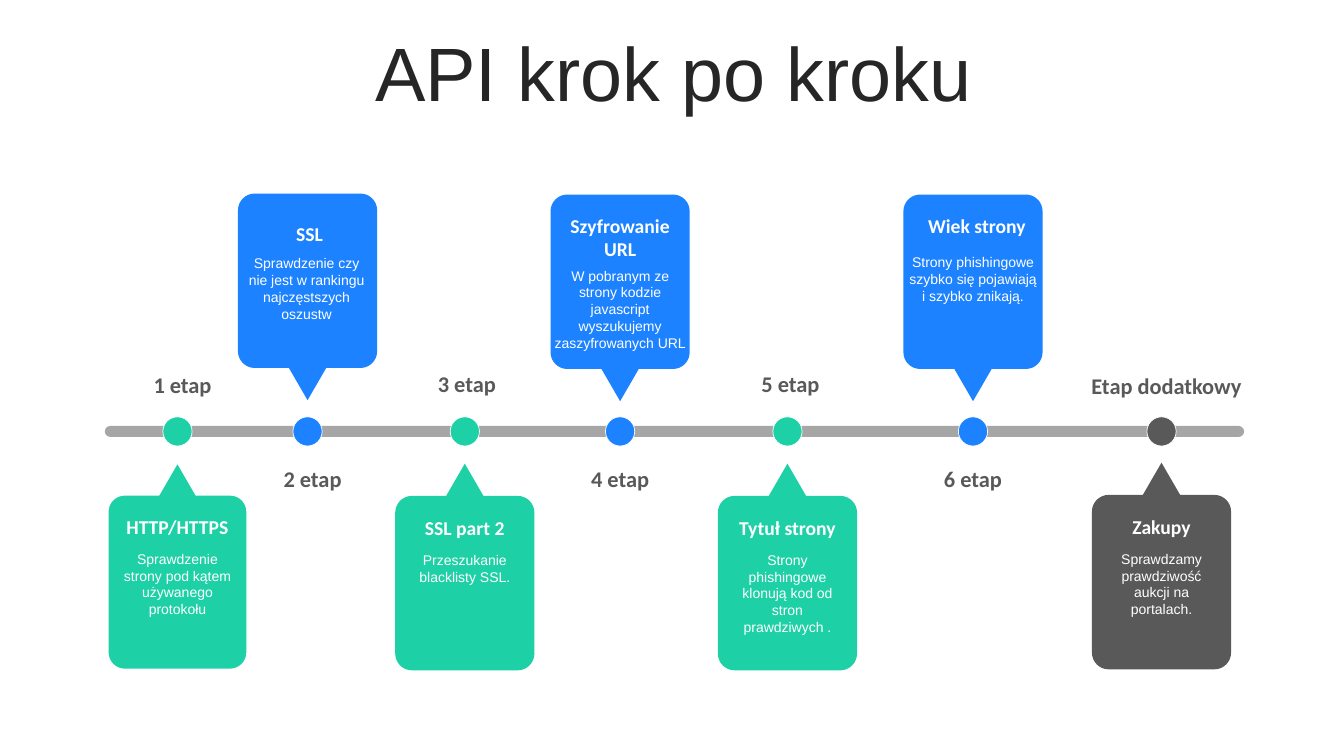
from lxml import etree
from pptx import Presentation, util as u
from pptx.dml.color import RGBColor
from pptx.enum import shapes, text
from pptx.oxml.ns import qn

BLUE = RGBColor(0x1C, 0x82, 0xFF)
GREEN = RGBColor(0x1E, 0xD0, 0xA6)
DARK = RGBColor(0x59, 0x59, 0x59)
INK = RGBColor(0x26, 0x26, 0x26)
TRACK = RGBColor(0xA6, 0xA6, 0xA6)
WHITE = RGBColor(255, 255, 255)

TITLE = "API krok po kroku"
# centre, card top, colour, (label, shift, top, width),
# (heading, shift, top, width, height), (description, shift, top, width, height)
STEPS = [
    (1.76, 4.59, GREEN, ("1 etap", 0.05, 3.63, 1.49),
     ("HTTP/HTTPS", 0, 5.06, 1.38, 0.34),
     ("Sprawdzenie strony pod kątem używanego protokołu", 0, 5.41, 1.38, 0.77)),
    (3.05, 1.92, BLUE, ("2 etap", 0.05, 4.57, 1.38),
     ("SSL", 0.02, 2.15, 1.43, 0.34),
     ("Sprawdzenie czy nie jest w rankingu najczęstszych oszustw",
      -0.01, 2.48, 1.38, 0.77)),
    (4.61, 4.6, GREEN, ("3 etap", 0.02, 3.62, 1.38),
     ("SSL part 2", 0, 5.07, 1.38, 0.34),
     ("Przeszukanie blacklisty SSL.", 0, 5.42, 1.38, 0.44)),
    (6.15, 1.93, BLUE, ("4 etap", 0, 4.57, 1.38),
     ("Szyfrowanie URL", 0, 2.07, 1.52, 0.57),
     ("W pobranym ze strony kodzie javascript wyszukujemy zaszyfrowanych URL",
      0, 2.6, 1.52, 0.94)),
    (7.81, 4.6, GREEN, ("5 etap", 0.03, 3.62, 1.38),
     ("Tytuł strony", 0, 5.07, 1.38, 0.34),
     ("Strony phishingowe klonują kod od stron prawdziwych .",
      0, 5.42, 1.38, 0.77)),
    (9.65, 1.93, BLUE, ("6 etap", 0, 4.57, 1.38),
     ("Wiek strony", 0.04, 2.07, 1.45, 0.34),
     ("Strony phishingowe szybko się pojawiają i szybko znikają.",
      0, 2.47, 1.52, 0.61)),
    (11.52, 4.59, DARK, ("Etap dodatkowy", 0.05, 3.64, 1.77),
     ("Zakupy", 0, 5.06, 1.38, 0.34),
     ("Sprawdzamy prawdziwość aukcji na portalach.", 0, 5.41, 1.38, 0.61)),
]

AXIS = 4.28
HALF, CARD_HEIGHT, SHOULDER = 0.69, 2.05, 0.32
RADIUS, TIP_HALF = 0.165, 0.185
DOT = 0.29
ARC = 0.55  # share of the radius covered by a curve's control point

deck = Presentation()
deck.slide_width, deck.slide_height = u.Inches(13.33), u.Inches(7.5)
page = deck.slides.add_slide(deck.slide_layouts[5])


def write(frame, words, size, font="Arial", color=WHITE, bold=False):
    frame.word_wrap = True
    para = frame.paragraphs[0]
    para.alignment = text.PP_ALIGN.CENTER
    span = para.add_run()
    span.text = words
    span.font.size, span.font.name, span.font.bold = u.Pt(size), font, bold
    span.font.color.rgb = color


def add_text(words, center, top, width, height, **style):
    box = page.shapes.add_textbox(u.Inches(center - width / 2), u.Inches(top),
                                  u.Inches(width), u.Inches(height))
    box.text_frame.auto_size = text.MSO_AUTO_SIZE.SHAPE_TO_FIT_TEXT
    write(box.text_frame, words, **style)


def paint(shape, color, line=0):
    """Fill without shadow; a white outline of `line` points when given."""
    shape.shadow.inherit = False
    shape.fill.solid()
    shape.fill.fore_color.rgb = color
    if line:
        shape.line.color.rgb, shape.line.width = WHITE, u.Pt(line)
    else:
        shape.line.fill.background()


def add_preset(kind, left, width, height, color, line=0):
    """Place a preset shape vertically centred on the axis."""
    shape = page.shapes.add_shape(kind, u.Inches(left), u.Inches(AXIS - height / 2),
                                  u.Inches(width), u.Inches(height))
    paint(shape, color, line)
    return shape


def round_corner(segment, bend_across):
    """Turn a diagonal line segment into a quarter-circle curve."""
    start, end = ([int(point.get(axis)) for axis in "xy"]
                  for point in (segment.getprevious()[-1], segment[-1]))
    corner = (end[0], start[1]) if bend_across else (start[0], end[1])
    curve = etree.Element(qn("a:cubicBezTo"))
    for anchor in (start, end):
        x, y = (round(a + ARC * (c - a)) for a, c in zip(anchor, corner))
        etree.SubElement(curve, qn("a:pt"), x=str(x), y=str(y))
    curve.append(segment[-1])
    segment.getparent().replace(segment, curve)


def add_callout(center, top, color, line):
    """Rounded card whose tip points to the axis."""
    inset = HALF - RADIUS
    high, low = SHOULDER + RADIUS, CARD_HEIGHT - RADIUS
    right = [(TIP_HALF, SHOULDER), (inset, SHOULDER), (HALF, high),
             (HALF, low), (inset, CARD_HEIGHT)]
    points = [(0, 0)] + right + [(-x, y) for x, y in reversed(right)]
    outline = [(u.Inches(center + x), u.Inches(top + y)) for x, y in points]
    builder = page.shapes.build_freeform(*outline[0])
    builder.add_line_segments(outline[1:], close=True)
    card = builder.convert_to_shape()
    segments = list(next(card._element.iter(qn("a:path"))))
    for position, bend_across in ((3, True), (5, False), (7, True), (9, False)):
        round_corner(segments[position], bend_across)
    paint(card, color, line)
    if top < AXIS:
        card.rotation = 180


title = page.shapes.title
title.left, title.top = u.Inches(0.35), u.Inches(0.37)
title.width, title.height = u.Inches(12.66), u.Inches(0.79)
title.text_frame.vertical_anchor = text.MSO_ANCHOR.MIDDLE
write(title.text_frame, TITLE, 54, color=INK)
title.text_frame.paragraphs[0].line_spacing = 0.9

track = add_preset(shapes.MSO_SHAPE.ROUNDED_RECTANGLE, 1.04, 11.3, 0.11, TRACK)
track.adjustments[0] = 0.5

for order, (center, top, color, label, heading, description) in enumerate(STEPS):
    add_preset(shapes.MSO_SHAPE.OVAL, center - DOT / 2, DOT, DOT, color, 0.5)
    add_callout(center, top, color, 1 if order == 0 else 0)
    for (words, shift, *place), style in (
            (heading, dict(size=14, font="Calibri", bold=True)),
            (description, dict(size=10)),
            (label + (0.37,), dict(size=16, font="Calibri", color=DARK, bold=True))):
        add_text(words, center + shift, *place, **style)

deck.save("out.pptx")
